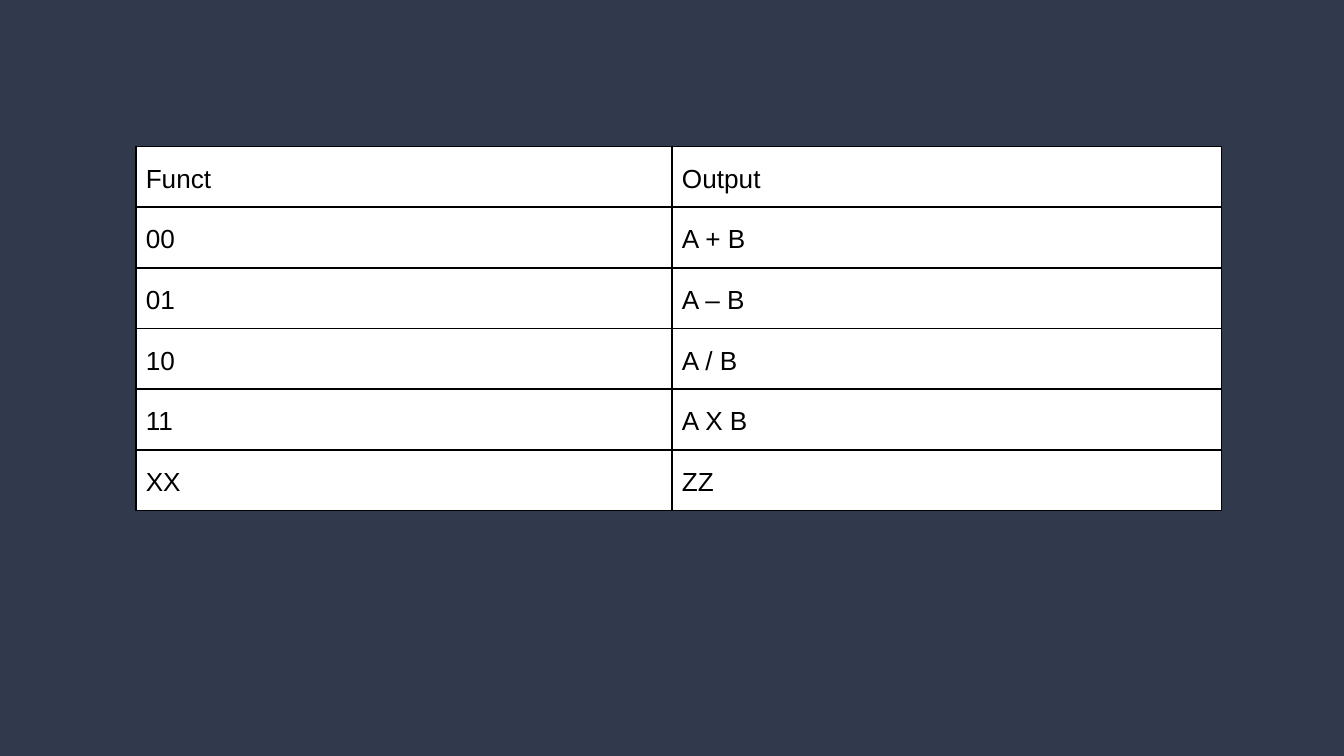
from typing import NamedTuple

from lxml.etree import SubElement
from pptx import Presentation
from pptx.dml.color import RGBColor
from pptx.enum.text import PP_ALIGN
from pptx.oxml.ns import qn
from pptx.slide import Slide
from pptx.table import _Cell
from pptx.util import Inches, Pt

COLORS = {"background": "31394D", "cell": "FFFFFF", "ink": "000000"}
COLUMN_WIDTHS = (3.99, 4.09)
ROW_HEIGHT = 0.45


class Operation(NamedTuple):
    funct: str
    output: str


OPERATIONS = [
    Operation("Funct", "Output"),
    Operation("00", "A + B"),
    Operation("01", "A – B"),
    Operation("10", "A / B"),
    Operation("11", "A X B"),
    Operation("XX", "ZZ"),
]


def add_borders(cell: _Cell) -> None:
    """Draw a 1 pt line on all four sides; call before setting the fill."""
    properties = cell._tc.get_or_add_tcPr()
    for side in ("lnL", "lnR", "lnT", "lnB"):
        line = SubElement(properties, qn(f"a:{side}"), w=str(Pt(1)))
        fill = SubElement(line, qn("a:solidFill"))
        SubElement(fill, qn("a:srgbClr"), val=COLORS["ink"])


def format_cell(cell: _Cell, text: str) -> None:
    add_borders(cell)
    cell.fill.solid()
    cell.fill.fore_color.rgb = RGBColor.from_string(COLORS["cell"])
    cell.margin_left = cell.margin_right = Inches(0.15) // 2
    cell.margin_top = cell.margin_bottom = Inches(0.1)
    cell.text_frame.text = text
    paragraph = cell.text_frame.paragraphs[0]
    paragraph.alignment = PP_ALIGN.JUSTIFY
    paragraph.line_spacing = 1.15
    font = paragraph.runs[0].font
    font.name = "Arial"
    font.size = Pt(14)
    font.color.rgb = RGBColor.from_string(COLORS["ink"])


def add_operation_table(slide: Slide, operations: list[Operation]) -> None:
    table = slide.shapes.add_table(
        len(operations), len(COLUMN_WIDTHS), Inches(1.01), Inches(1.09),
        Inches(sum(COLUMN_WIDTHS)), Inches(ROW_HEIGHT * len(operations)),
    ).table
    table.first_row = False
    table.horz_banding = False
    for column, width in zip(table.columns, COLUMN_WIDTHS):
        column.width = Inches(width)
    for row, operation in zip(table.rows, operations):
        row.height = Inches(ROW_HEIGHT)
        for cell, text in zip(row.cells, operation):
            format_cell(cell, text)


def main() -> None:
    presentation = Presentation()
    presentation.slide_width = Inches(10)
    presentation.slide_height = Inches(10) * 9 // 16
    slide = presentation.slides.add_slide(presentation.slide_layouts[6])
    slide.background.fill.solid()
    slide.background.fill.fore_color.rgb = RGBColor.from_string(COLORS["background"])
    add_operation_table(slide, OPERATIONS)
    presentation.save("out.pptx")


if __name__ == "__main__":
    main()
